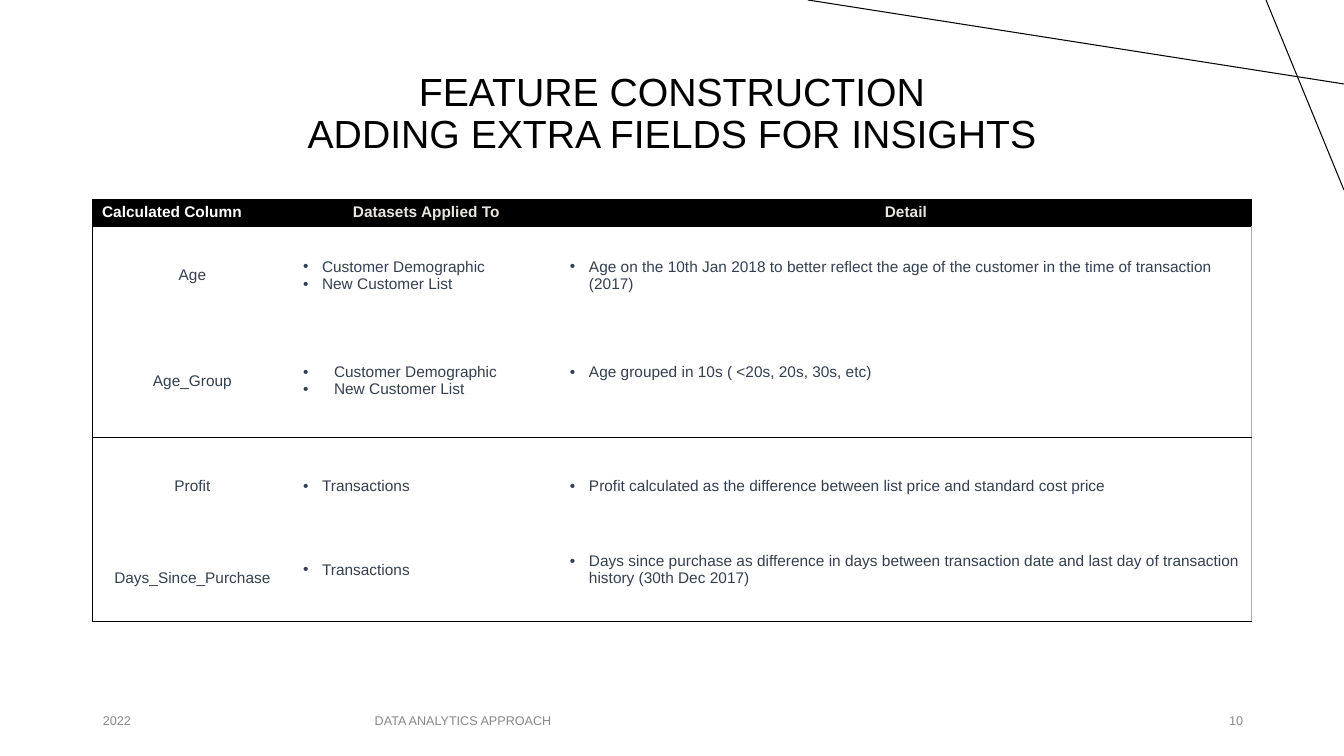
from dataclasses import dataclass

from lxml.etree import SubElement
from pptx import Presentation
from pptx.dml.color import RGBColor
from pptx.enum.shapes import MSO_CONNECTOR as Connector
from pptx.enum.text import MSO_ANCHOR as Anchor, MSO_AUTO_SIZE as AutoSize, PP_ALIGN as Align
from pptx.oxml.ns import qn
from pptx.util import Emu, Pt

EMU_PER_PX = 914400 / 100.8
FONT = "Arial"
BLACK = RGBColor(0x00, 0x00, 0x00)
WHITE = RGBColor(0xFF, 0xFF, 0xFF)
CREAM = RGBColor(0xE9, 0xE6, 0xDF)
SLATE = RGBColor(0x33, 0x3F, 0x50)
GREY = RGBColor(0x88, 0x88, 0x88)
EDGE_GREY = RGBColor(0xAE, 0xAB, 0xAB)

TABLE_LEFT, TABLE_TOP = 92, 199
COLUMN_WIDTHS = (201, 267, 692)
HEADER_HEIGHT = 27
CELL_INSET, RAISED_INSET = 5, 22
RULED_ROWS = (2, 4)  # rows closed by a black rule


@dataclass(frozen=True)
class Field:
    name: str
    datasets: tuple[str, ...]
    detail: str
    height: int
    dataset_indent: int = 19
    raised_columns: tuple[int, ...] = ()


@dataclass(frozen=True)
class FooterText:
    text: str
    left: int
    width: int
    align: Align


@dataclass(frozen=True)
class AccentLine:
    start: tuple[int, int]
    end: tuple[int, int]


HEADERS = (
    ("Calculated Column", WHITE, Align.LEFT),
    ("Datasets Applied To", CREAM, Align.CENTER),
    ("Detail", CREAM, Align.CENTER),
)
CUSTOMERS = ("Customer Demographic", "New Customer List")
FIELDS = (
    Field("Age", CUSTOMERS,
          "Age on the 10th Jan 2018 to better reflect the age of the customer "
          "in the time of transaction (2017)", 98),
    Field("Age_Group", CUSTOMERS, "Age grouped in 10s ( <20s, 20s, 30s, etc)", 113,
          dataset_indent=31, raised_columns=(2,)),
    Field("Profit", ("Transactions",),
          "Profit calculated as the difference between list price and standard cost price", 98),
    Field("Days_Since_Purchase", ("Transactions",),
          "Days since purchase as difference in days between transaction date and "
          "last day of transaction history (30th Dec 2017)", 86, raised_columns=(1, 2)),
)
TITLE_LINES = ("FEATURE CONSTRUCTION", "ADDING EXTRA FIELDS FOR INSIGHTS")
FOOTERS = (
    FooterText("2022", 93, 134, Align.LEFT),
    FooterText("DATA ANALYTICS APPROACH", 271, 384, Align.CENTER),
    FooterText("10", 951, 302, Align.RIGHT),
)
ACCENT_LINES = (
    AccentLine((1344, 84), (808, 0)),
    AccentLine((1266, 0), (1344, 190)),
)


def px(length: int) -> Emu:
    return Emu(round(length * EMU_PER_PX))


def write_lines(text_frame, lines: tuple[str, ...], size: int, color: RGBColor,
                align: Align = Align.LEFT, bold: bool = False) -> None:
    for index, line in enumerate(lines):
        paragraph = text_frame.paragraphs[0] if index == 0 else text_frame.add_paragraph()
        paragraph.alignment = align
        run = paragraph.add_run()
        run.text = line
        run.font.name = FONT
        run.font.size = Pt(size)
        run.font.bold = bold
        run.font.color.rgb = color


def add_bullets(text_frame, indent: int) -> None:
    for paragraph in text_frame.paragraphs:
        properties = paragraph._p.get_or_add_pPr()
        properties.set("marL", str(px(indent)))
        properties.set("indent", str(-px(indent)))
        bullet_color = SubElement(properties, qn("a:buClr"))
        SubElement(bullet_color, qn("a:srgbClr"), val=str(SLATE))
        SubElement(properties, qn("a:buFont"), typeface=FONT)
        SubElement(properties, qn("a:buChar"), char="•")


def set_borders(cell, row: int, column: int) -> None:
    last_column = len(COLUMN_WIDTHS) - 1
    right_color = BLACK if row == 0 else EDGE_GREY
    edges = {
        "L": BLACK if column == 0 else None,
        "R": right_color if column == last_column else None,
        "T": BLACK if row <= 1 or row - 1 in RULED_ROWS else None,
        "B": BLACK if row == 0 or row in RULED_ROWS else None,
    }
    properties = cell._tc.get_or_add_tcPr()
    for side, color in edges.items():
        width = Pt(1) if color == EDGE_GREY else Pt(0.75)
        edge = SubElement(properties, qn(f"a:ln{side}"), w=str(width))
        if color is None:
            SubElement(edge, qn("a:noFill"))
        else:
            fill = SubElement(edge, qn("a:solidFill"))
            SubElement(fill, qn("a:srgbClr"), val=str(color))


def add_accent_line(slide, line: AccentLine) -> None:
    connector = slide.shapes.add_connector(
        Connector.STRAIGHT, *map(px, line.start), *map(px, line.end))
    connector.line.color.rgb = BLACK
    connector.line.width = Pt(0.75)
    SubElement(connector._element.spPr, qn("a:effectLst"))


def add_title(slide) -> None:
    title = slide.shapes.title
    title.left, title.top, title.width, title.height = map(px, (208, 42, 928, 146))
    title.text_frame.auto_size = AutoSize.NONE
    title.text_frame.vertical_anchor = Anchor.MIDDLE
    write_lines(title.text_frame, TITLE_LINES, 28, BLACK, Align.CENTER)
    for paragraph in title.text_frame.paragraphs:
        paragraph.line_spacing = 0.9


def add_field_table(slide) -> None:
    heights = (HEADER_HEIGHT, *(field.height for field in FIELDS))
    table = slide.shapes.add_table(
        len(heights), len(COLUMN_WIDTHS), px(TABLE_LEFT), px(TABLE_TOP),
        px(sum(COLUMN_WIDTHS)), px(sum(heights))).table
    table.first_row = table.horz_banding = False
    for column, width in zip(table.columns, COLUMN_WIDTHS):
        column.width = px(width)
    for row, height in zip(table.rows, heights):
        row.height = px(height)

    # Borders, fills and anchoring
    for row in range(len(heights)):
        for column in range(len(COLUMN_WIDTHS)):
            cell = table.cell(row, column)
            cell.vertical_anchor = Anchor.MIDDLE
            set_borders(cell, row, column)
            if row == 0:
                cell.fill.solid()
                cell.fill.fore_color.rgb = BLACK
            else:
                cell.fill.background()

    # Wording
    for column, (text, color, align) in enumerate(HEADERS):
        write_lines(table.cell(0, column).text_frame, (text,), 11, color, align, bold=True)
    for row, field in enumerate(FIELDS, start=1):
        name, datasets, detail = (table.cell(row, column) for column in range(3))
        write_lines(name.text_frame, (field.name,), 11, SLATE, Align.CENTER)
        write_lines(datasets.text_frame, field.datasets, 11, SLATE)
        add_bullets(datasets.text_frame, field.dataset_indent)
        write_lines(detail.text_frame, (field.detail,), 11, SLATE)
        add_bullets(detail.text_frame, 19)
        for column in field.raised_columns:
            table.cell(row, column).margin_bottom = px(RAISED_INSET)


def add_footer(slide, footer: FooterText) -> None:
    box = slide.shapes.add_textbox(px(footer.left), px(701), px(footer.width), px(40))
    box.text_frame.word_wrap = True
    box.text_frame.vertical_anchor = Anchor.MIDDLE
    write_lines(box.text_frame, (footer.text,), 9, GREY, footer.align)


def main() -> None:
    presentation = Presentation()
    presentation.slide_width, presentation.slide_height = px(1344), px(756)
    slide = presentation.slides.add_slide(presentation.slide_layouts[5])
    for line in ACCENT_LINES:
        add_accent_line(slide, line)
    add_title(slide)
    add_field_table(slide)
    for footer in FOOTERS:
        add_footer(slide, footer)
    presentation.save("out.pptx")


if __name__ == "__main__":
    main()
